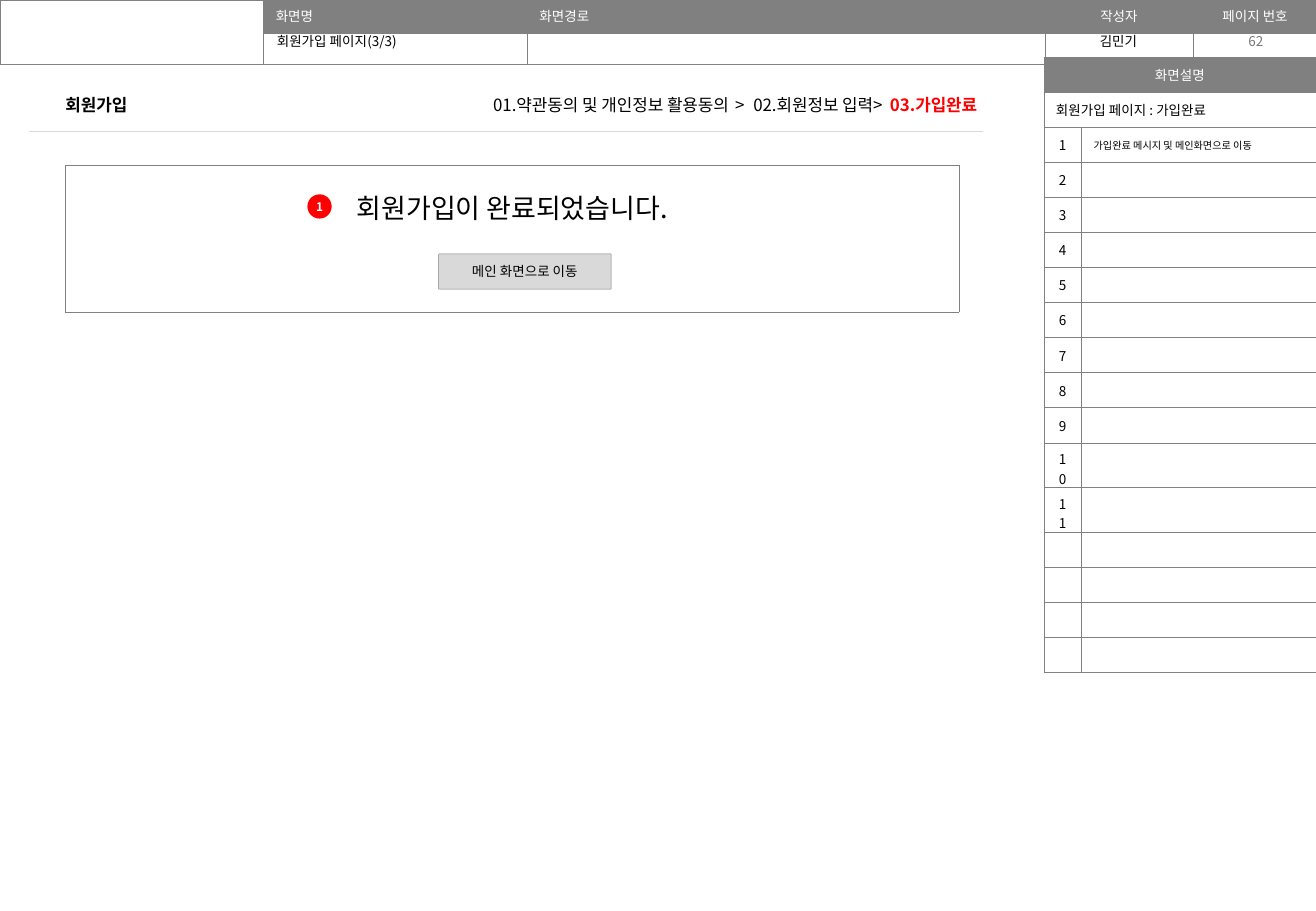
from dataclasses import dataclass

from lxml import etree
from pptx import Presentation
from pptx.dml.color import RGBColor
from pptx.enum.shapes import MSO_CONNECTOR, MSO_SHAPE
from pptx.enum.text import MSO_ANCHOR, PP_ALIGN
from pptx.oxml.ns import qn
from pptx.util import Inches, Pt

LEFT, CENTER, RIGHT = PP_ALIGN.LEFT, PP_ALIGN.CENTER, PP_ALIGN.RIGHT
TOP, MIDDLE = MSO_ANCHOR.TOP, MSO_ANCHOR.MIDDLE
ROUNDED = MSO_SHAPE.ROUNDED_RECTANGLE
STRAIGHT = MSO_CONNECTOR.STRAIGHT


@dataclass(frozen=True)
class Theme:
    font: str = "Noto Sans CJK KR"
    black: str = "000000"
    white: str = "FFFFFF"
    gray: str = "808080"
    number_gray: str = "797979"
    light: str = "D9D9D9"
    red: str = "FF0000"
    note: float = 6
    badge: float = 7
    body: float = 8
    heading: float = 10
    message: float = 16
    hairline: float = 0.25
    rule: float = 0.75


@dataclass(frozen=True)
class Run:
    text: str
    size: float
    color: str
    bold: bool = False
    spacing: float = 0


class Wireframe:
    """Holds the theme and the current slide."""

    def __init__(self, slide, theme):
        self.slide, self.theme = slide, theme

    def add_runs(self, frame, runs, align=LEFT):
        paragraph = frame.paragraphs[0]
        paragraph.alignment = align
        for item in runs:
            run = paragraph.add_run()
            run.text = item.text
            font = run.font
            font.name, font.size, font.bold = self.theme.font, Pt(item.size), item.bold
            font.color.rgb = RGBColor.from_string(item.color)
            properties = run._r.get_or_add_rPr()
            if item.spacing:
                properties.set("spc", str(int(item.spacing * 100)))
            east_asian = etree.Element(qn("a:ea"), typeface=self.theme.font)
            properties.find(qn("a:latin")).addnext(east_asian)

    def text(self, box, runs, align=LEFT, anchor=TOP, inset=0.05):
        frame = self.slide.shapes.add_textbox(*map(Inches, box)).text_frame
        frame.word_wrap = True
        frame.vertical_anchor = anchor
        frame.margin_top = frame.margin_bottom = Inches(inset)
        self.add_runs(frame, runs, align)

    def rounded(self, box, radius, fill, runs, line=None):
        shape = self.slide.shapes.add_shape(ROUNDED, *map(Inches, box))
        shape.shadow.inherit = False
        shape.adjustments[0] = radius
        shape.fill.solid()
        shape.fill.fore_color.rgb = RGBColor.from_string(fill)
        if line:
            shape.line.color.rgb = RGBColor.from_string(line)
            shape.line.width = Pt(self.theme.hairline)
        else:
            shape.line.fill.background()
        frame = shape.text_frame
        frame.margin_left = frame.margin_right = 0
        frame.margin_top = frame.margin_bottom = 0
        frame.vertical_anchor = MIDDLE
        self.add_runs(frame, runs, CENTER)

    def line(self, start, end, color):
        connector = self.slide.shapes.add_connector(STRAIGHT, *map(Inches, start + end))
        connector.line.color.rgb = RGBColor.from_string(color)
        connector.line.width = Pt(self.theme.rule)
        etree.SubElement(connector._element.spPr, qn("a:effectLst"))

    def table(self, left, top, columns, rows):
        table = self.slide.shapes.add_table(
            len(rows), len(columns), Inches(left), Inches(top),
            Inches(sum(columns)), Inches(sum(rows))).table
        table.first_row = table.horz_banding = False
        for column, width in zip(table.columns, columns):
            column.width = Inches(width)
        for row, height in zip(table.rows, rows):
            row.height = Inches(height)
        for cell in table.iter_cells():
            cell.fill.background()
            self.border(cell)
            # Small type in empty cells keeps rows from growing
            etree.SubElement(cell.text_frame.paragraphs[0]._p, qn("a:endParaRPr"),
                             sz=str(int(self.theme.body * 100)))
        return table

    def border(self, cell):
        properties = cell._tc.get_or_add_tcPr()
        for index, side in enumerate(("lnL", "lnR", "lnT", "lnB")):
            line = etree.Element(qn("a:" + side), w=str(int(Pt(self.theme.hairline))))
            fill = etree.SubElement(line, qn("a:solidFill"))
            etree.SubElement(fill, qn("a:srgbClr"), val=self.theme.gray)
            properties.insert(index, line)

    def cell(self, cell, runs, align=LEFT, anchor=MIDDLE, fill=None):
        if fill:
            cell.fill.solid()
            cell.fill.fore_color.rgb = RGBColor.from_string(fill)
        cell.vertical_anchor = anchor
        self.add_runs(cell.text_frame, runs, align)


def main():
    theme = Theme()
    presentation = Presentation()
    presentation.slide_width, presentation.slide_height = Inches(10.83), Inches(7.5)
    slide = presentation.slides.add_slide(presentation.slide_layouts[6])
    page = Wireframe(slide, theme)

    def body(text, color=theme.black):
        return [Run(text, theme.body, color)]

    # Header band
    header = page.table(0, 0, [2.17, 2.17, 4.26, 1.22, 1.02], [0.27, 0.26])
    header.cell(0, 0).merge(header.cell(1, 0))
    titles = [("화면명", LEFT), ("화면경로", LEFT), ("작성자", CENTER), ("페이지 번호", CENTER)]
    for column, (title, align) in enumerate(titles, 1):
        page.cell(header.cell(0, column), body(title, theme.white), align, TOP, theme.gray)
    page.text((8.59, 0.22, 1.23, 0.24), body("김민기"), CENTER)
    page.text((9.83, 0.22, 1.01, 0.24), body("62", theme.number_gray), CENTER, MIDDLE)

    # Section title and rule
    page.text((0.44, 0.71, 1.29, 0.3),
              [Run("회원가입", theme.heading, theme.black, True)], LEFT, MIDDLE, 0.1)
    page.line((0.24, 1.08), (8.09, 1.08), theme.light)

    # Screen description
    row_count = 17
    notes = page.table(8.59, 0.47, [0.31, 1.93], [4.91 / row_count] * row_count)
    for row in range(2):
        notes.cell(row, 0).merge(notes.cell(row, 1))
    page.cell(notes.cell(0, 0), body("화면설명", theme.white), CENTER, fill=theme.gray)
    page.cell(notes.cell(1, 0), body("회원가입 페이지 : 가입완료"))
    for number in range(1, 12):
        page.cell(notes.cell(number + 1, 0), body(str(number)), CENTER)
    page.cell(notes.cell(2, 1),
              [Run("가입완료 메시지 및 메인화면으로 이동", theme.note, theme.black)])

    # Step path
    page.text((2.98, 0.71, 5.16, 0.3), [
        Run("01.약관동의 및 개인정보 활용동의", theme.heading, theme.black),
        Run(" > ", theme.heading, theme.black, spacing=1.5),
        Run("02.회원정보 입력>", theme.heading, theme.black),
        Run(" ", theme.heading, theme.black, spacing=2.2),
        Run("03.가입완료", theme.heading, theme.red, True),
    ], RIGHT, MIDDLE, 0.1)

    # Completion message, raised above the button by the bottom margin
    panel = page.table(0.54, 1.36, [7.35], [1.21]).cell(0, 0)
    panel.margin_left = panel.margin_right = panel.margin_top = Inches(0.04)
    panel.margin_bottom = Inches(0.57)
    page.cell(panel, [Run("회원가입이 완료되었습니다.", theme.message, theme.black)],
              CENTER, fill=theme.white)
    page.rounded((3.61, 2.09, 1.42, 0.29), 0.02, theme.light,
                 body("메인 화면으로 이동"), theme.gray)
    page.rounded((2.53, 1.6, 0.2, 0.2), 0.5, theme.red,
                 [Run("1", theme.badge, theme.white, True)])

    # Screen name
    page.text((2.18, 0.22, 2.15, 0.24), body("회원가입 페이지(3/3)"))

    presentation.save("out.pptx")


if __name__ == "__main__":
    main()
